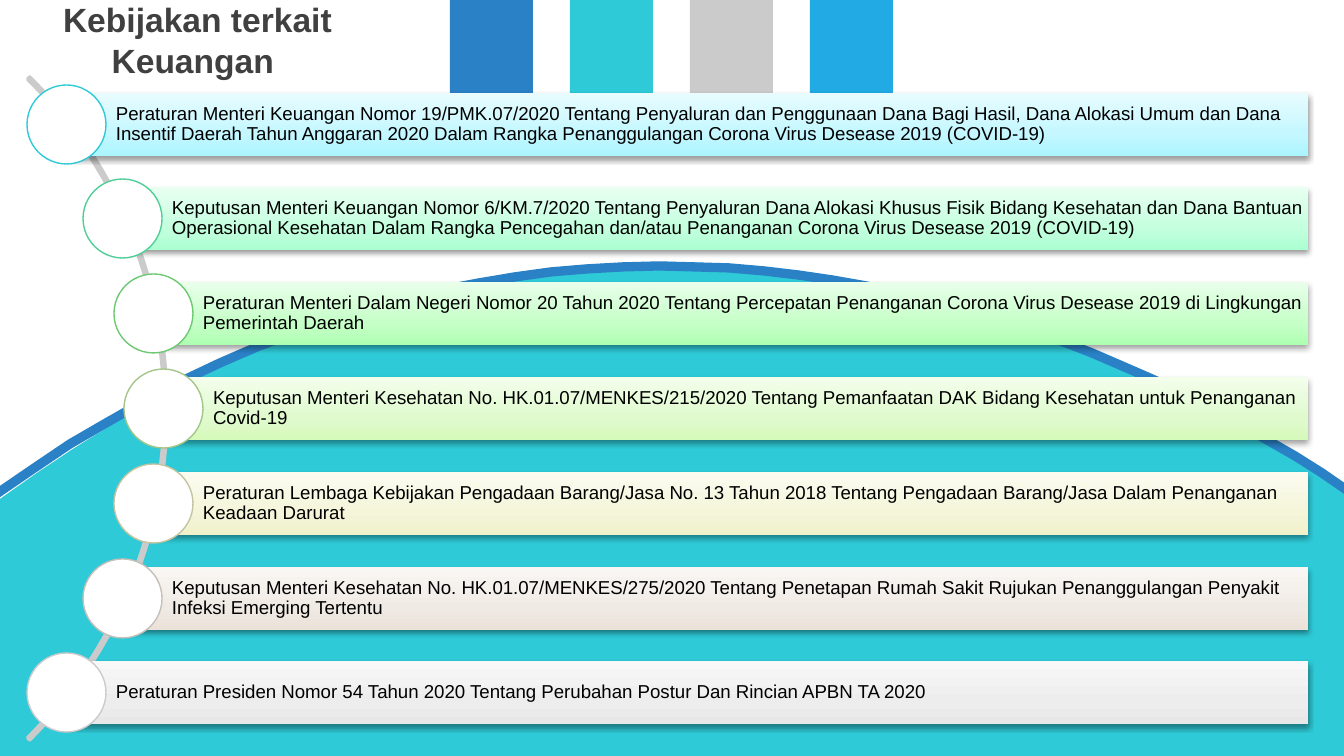
"""Build the slide listing the financial policies on handling COVID-19."""
import math

from pptx import Presentation, oxml, util as u
from pptx.dml.color import RGBColor
from pptx.enum import shapes, text

SCALE = 914400 / 134.4
WIDTH, HEIGHT = 1344, 756
DRAWING_NS = 'xmlns:a="http://schemas.openxmlformats.org/drawingml/2006/main"'

COLORS = {
    "blue": "2A81C6", "teal": "2ECAD7", "gray": "CBCBCB", "sky": "22AAE4",
    "white": "FFFFFF", "title": "404040", "body": "000000",
}

POLICIES = [
    ("Peraturan Menteri Keuangan Nomor 19/PMK.07/2020 Tentang Penyaluran dan Penggunaan Dana Bagi Hasil, "
     "Dana Alokasi Umum dan Dana Insentif Daerah Tahun Anggaran 2020 Dalam Rangka Penanggulangan "
     "Corona Virus Desease 2019 (COVID-19)", "2ECAD7", ("ABF5FF", "C4F7FF", "E8FCFF")),
    ("Keputusan Menteri Keuangan Nomor 6/KM.7/2020 Tentang Penyaluran Dana Alokasi Khusus Fisik Bidang "
     "Kesehatan dan Dana Bantuan Operasional Kesehatan Dalam Rangka Pencegahan dan/atau Penanganan "
     "Corona Virus Desease 2019 (COVID-19)", "4FCE97", ("ABFFD1", "C4FFDE", "E8FFF2")),
    ("Peraturan Menteri Dalam Negeri Nomor 20 Tahun 2020 Tentang Percepatan Penanganan Corona Virus "
     "Desease 2019 di Lingkungan Pemerintah Daerah", "6DC872", ("AFFFB2", "C6FFC8", "E9FFEA")),
    ("Keputusan Menteri Kesehatan No. HK.01.07/MENKES/215/2020 Tentang Pemanfaatan DAK Bidang Kesehatan "
     "untuk Penanganan Covid-19", "A4C589", ("D5F9BA", "E0FACE", "F3FEEB")),
    ("Peraturan Lembaga Kebijakan Pengadaan Barang/Jasa No. 13 Tahun 2018 Tentang Pengadaan Barang/Jasa "
     "Dalam Penanganan Keadaan Darurat", "C3C4A2", ("F0F1CA", "F4F5D9", "FBFCF0")),
    ("Keputusan Menteri Kesehatan No. HK.01.07/MENKES/275/2020 Tentang Penetapan Rumah Sakit Rujukan "
     "Penanggulangan Penyakit Infeksi Emerging Tertentu", "C6BFB8", ("EBE2D9", "F0EAE4", "F9F7F4")),
    ("Peraturan Presiden Nomor 54 Tahun 2020 Tentang Perubahan Postur Dan Rincian APBN TA 2020",
     "CBCBCB", ("E7E7E7", "EDEDED", "F8F8F8")),
]


def px(length):
    return u.Emu(round(length * SCALE))


def bezier(start, first, second, end, steps=40):
    points = []
    for step in range(steps + 1):
        t = step / steps
        weights = ((1 - t) ** 3, 3 * t * (1 - t) ** 2, 3 * t ** 2 * (1 - t), t ** 3)
        points.append(tuple(sum(w * c for w, c in zip(weights, axis))
                            for axis in zip(start, first, second, end)))
    return points


class PolicySlide:
    font = "Arial"

    def __init__(self, slide):
        self.slide = slide

    def paint(self, shape, fill=None, line=None, line_width=1):
        shape.shadow.inherit = False
        if fill:
            shape.fill.solid()
            shape.fill.fore_color.rgb = RGBColor.from_string(fill)
        else:
            shape.fill.background()
        if line:
            shape.line.color.rgb = RGBColor.from_string(line)
            shape.line.width = u.Pt(line_width)
        else:
            shape.line.fill.background()
        return shape

    def preset(self, kind, left, top, width, height, **style):
        shape = self.slide.shapes.add_shape(kind, px(left), px(top), px(width), px(height))
        return self.paint(shape, **style)

    def outline(self, points, close, **style):
        builder = self.slide.shapes.build_freeform(*points[0], scale=SCALE)
        builder.add_line_segments(points[1:], close=close)
        return self.paint(builder.convert_to_shape(), **style)

    def add_words(self, frame, wording, size, color, align, bold=False):
        frame.word_wrap = True
        frame.auto_size = text.MSO_AUTO_SIZE.NONE
        frame.vertical_anchor = text.MSO_ANCHOR.MIDDLE
        paragraph = frame.paragraphs[0]
        paragraph.alignment = align
        run = paragraph.add_run()
        run.text = wording
        run.font.name, run.font.size, run.font.bold = self.font, u.Pt(size), bold
        run.font.color.rgb = RGBColor.from_string(color)
        return paragraph

    def title(self, wording, left, top, width, height):
        heading = self.slide.shapes.title
        heading.left, heading.top, heading.width, heading.height = map(px, (left, top, width, height))
        self.add_words(heading.text_frame, wording, 18, COLORS["title"], text.PP_ALIGN.CENTER, True)

    def bar(self, wording, gradient, left, top, width, height):
        bar = self.preset(shapes.MSO_SHAPE.RECTANGLE, left, top, width, height)
        properties = bar._element.spPr
        stops = "".join(f'<a:gs pos="{position}"><a:srgbClr val="{color}"/></a:gs>'
                        for position, color in zip((0, 35000, 100000), gradient))
        properties.replace(properties.find(oxml.ns.qn("a:noFill")), oxml.parse_xml(
            f'<a:gradFill {DRAWING_NS} rotWithShape="1"><a:gsLst>{stops}</a:gsLst>'
            '<a:lin ang="16200000" scaled="0"/></a:gradFill>'))
        properties.find(oxml.ns.qn("a:effectLst")).append(oxml.parse_xml(
            f'<a:outerShdw {DRAWING_NS} blurRad="40000" dist="20000" dir="5400000" rotWithShape="0">'
            '<a:srgbClr val="000000"><a:alpha val="38000"/></a:srgbClr></a:outerShdw>'))
        frame = bar.text_frame
        frame.margin_left = px(50)
        frame.margin_top = frame.margin_right = frame.margin_bottom = px(3)
        paragraph = self.add_words(frame, wording, 10, COLORS["body"], text.PP_ALIGN.LEFT)
        paragraph.line_spacing = 0.9

    def arc(self, left, top, size):
        arc = self.preset(shapes.MSO_SHAPE.BLOCK_ARC, left, top, size, size,
                          line=COLORS["gray"], line_width=2)
        for index, value in enumerate((189, 27, 0.003)):
            arc.adjustments[index] = value


def main():
    deck = Presentation()
    deck.slide_width, deck.slide_height = px(WIDTH), px(HEIGHT)
    page = PolicySlide(deck.slides.add_slide(deck.slide_layouts[5]))

    hill = bezier((0, 499), (492, 142), (933, 230), (WIDTH, 491))
    page.outline(hill + [(WIDTH, HEIGHT), (0, HEIGHT)], True, fill=COLORS["teal"])
    ridge = bezier((-5, 495), (495, 133), (1001, 254), (1348, 491))
    page.outline(ridge, False, line=COLORS["blue"], line_width=5)

    for index, name in enumerate(("blue", "teal", "gray", "sky")):
        page.preset(shapes.MSO_SHAPE.RECTANGLE, 450 + 120 * index, 0, 83, 134, fill=COLORS[name])

    page.title("Kebijakan terkait Keuangan ", 20, -3, 355, 85)
    page.arc(-770, -60, 937)

    arc_x, arc_y, radius = -302, 408, 465
    bar_right, bar_height, circle_size = 1308, 63, 79
    for index, (wording, accent, gradient) in enumerate(POLICIES):
        center_y = arc_y + round(94.8 * (index - 3))
        center_x = arc_x + round(math.sqrt(radius ** 2 - (center_y - arc_y) ** 2))
        page.bar(wording, gradient, center_x, center_y - bar_height // 2,
                 bar_right - center_x, bar_height)
        page.preset(shapes.MSO_SHAPE.OVAL, center_x - circle_size // 2, center_y - circle_size // 2,
                    circle_size, circle_size, fill=COLORS["white"], line=accent, line_width=0.75)

    deck.save("out.pptx")


if __name__ == "__main__":
    main()
